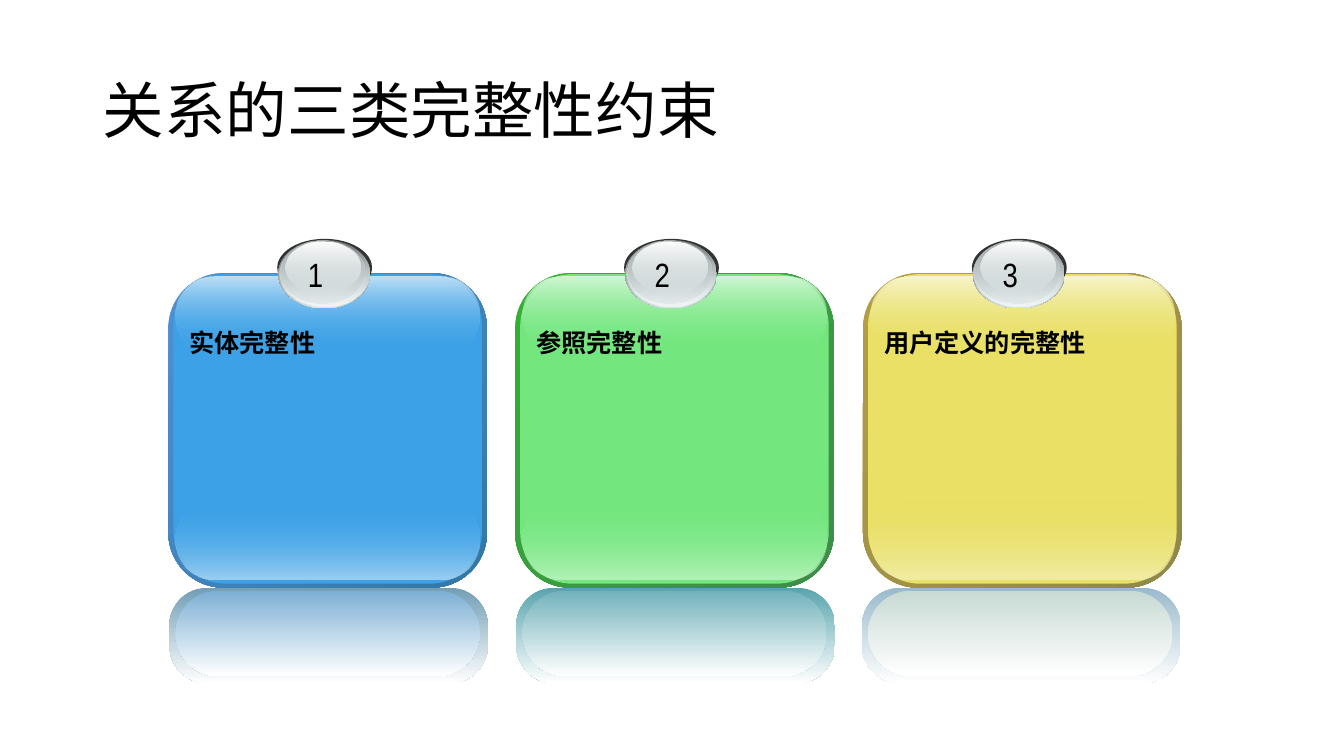
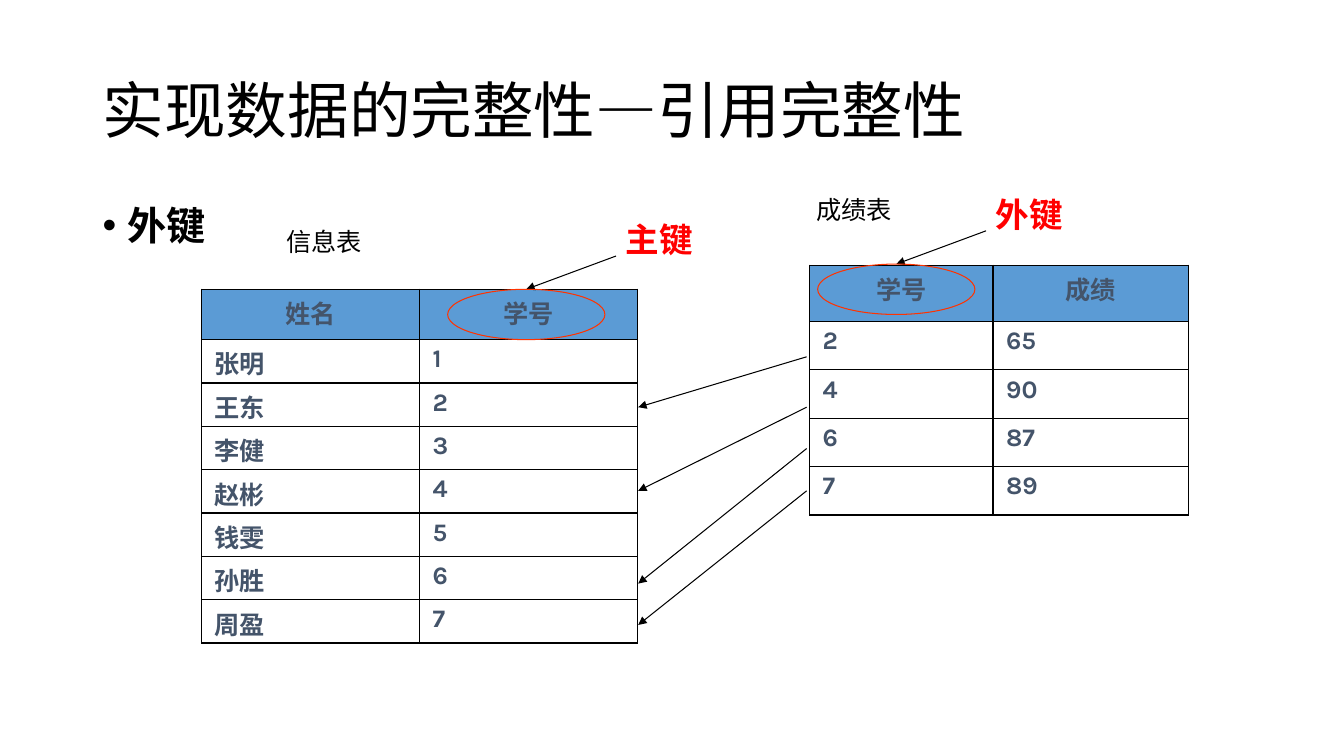
"""Build two slides on the integrity constraints of relational data."""
import pptx
import pptx.dml.color
import pptx.enum.shapes
import pptx.enum.text
import pptx.oxml
import pptx.oxml.ns
import pptx.util
from lxml import etree

PX = 9144
COLOURS = {
    "text": "000000", "key": "FF0000", "ring": "FF3300", "cell": "44546A",
    "header": "5B9BD5", "white": "FFFFFF", "rim": "333333", "steel": "636869",
    "silver": "D6E1E2", "pearl": "F1F5F5", "grey": "AAB2B3",
}
CJK_FONT = "Noto Sans CJK SC"
LABEL_FONT = "Arial Narrow"
ROUNDED = pptx.enum.shapes.MSO_SHAPE.ROUNDED_RECTANGLE
OVAL = pptx.enum.shapes.MSO_SHAPE.OVAL
CENTER = pptx.enum.text.PP_ALIGN.CENTER
CARDS = [
    ("实体完整性", {"edge": ("4E91D4", "3477A4"), "face": "3CA1E6", "bottom": "9BCFF2",
                "top": "BEE0F7", "outer": "729EB4", "inner": "7DAFD4", "shift": 1}),
    ("参照完整性", {"edge": ("34B034", "3F8B4A"), "face": "73E77E", "bottom": "B3F2B9",
                "top": "D0F7D4", "outer": "58A4AE", "inner": "72B2BB", "shift": 1}),
    ("用户定义的完整性", {"edge": ("B59F43", "8F8849"), "face": "E9E065", "bottom": "F2EDA6",
                   "top": "F8F5CC", "outer": "99BACC", "inner": "C8DAD4", "shift": -1}),
]
STUDENTS = [("姓名", "学号"), ("张明", "1"), ("王东", "2"), ("李健", "3"),
            ("赵彬", "4"), ("钱雯", "5"), ("孙胜", "6"), ("周盈", "7")]
SCORES = [("学号", "成绩"), ("2", "65"), ("4", "90"), ("6", "87"), ("7", "89")]
REFERENCES = [(354, 404), (404, 487), (445, 579), (487, 620)]


def px(*lengths):
    """Turn px lengths into EMU."""
    return [pptx.util.Emu(length * PX) for length in lengths]


def rgb(colour):
    """Turn a hex string into a colour."""
    return pptx.dml.color.RGBColor.from_string(colour)


def add_element(parent, tag, **attributes):
    """Append a drawing element with the given attributes."""
    element = etree.SubElement(parent, pptx.oxml.ns.qn(tag))
    for name, value in attributes.items():
        element.set(name, str(value))
    return element


def format_paragraph(paragraph, size, font, colour, bold=False):
    """Format every run of a paragraph."""
    for run in paragraph.runs:
        run.font.size = pptx.util.Pt(size)
        run.font.bold = bold
        run.font.name = font
        run.font.color.rgb = rgb(colour)
        add_element(run.font._element, "a:ea", typeface=CJK_FONT)


def add_text(shapes, box, text, size, font=LABEL_FONT, colour=COLOURS["text"], bold=False,
             wrap=True):
    """Add a text box and return its text frame."""
    text_frame = shapes.add_textbox(*px(*box)).text_frame
    text_frame.word_wrap = wrap
    text_frame.text = text
    format_paragraph(text_frame.paragraphs[0], size, font, colour, bold)
    return text_frame


def add_title(slide, text, font):
    """Add the slide title."""
    text_frame = add_text(slide.shapes, (92, 40, 1150, 145), text, 44, font)
    text_frame.vertical_anchor = pptx.enum.text.MSO_ANCHOR.MIDDLE
    text_frame.paragraphs[0].line_spacing = 0.9


def fill_gradient(shape, start, end, angle=90):
    """Fill a shape with a two-stop gradient of (colour, opacity) pairs."""
    shape.fill.background()
    properties = shape._element.spPr
    empty_fill = properties.find(pptx.oxml.ns.qn("a:noFill"))
    gradient = add_element(properties, "a:gradFill", rotWithShape=1)
    properties.replace(empty_fill, gradient)
    stops = add_element(gradient, "a:gsLst")
    for position, (colour, opacity) in ((0, start), (100, end)):
        stop = add_element(stops, "a:gs", pos=position * 1000)
        value = add_element(stop, "a:srgbClr", val=colour)
        if opacity < 100:
            add_element(value, "a:alpha", val=opacity * 1000)
    add_element(gradient, "a:lin", ang=angle * 60000, scaled=0)


def add_layer(shapes, kind, box, start, end=None, corner=None, angle=90):
    """Add one borderless solid or gradient layer."""
    shape = shapes.add_shape(kind, *px(*box))
    shape.shadow.inherit = False
    if corner is not None:
        shape.adjustments[0] = corner
    if end is None:
        shape.fill.solid()
        shape.fill.fore_color.rgb = rgb(start[0])
    else:
        fill_gradient(shape, start, end, angle)
    shape.line.fill.background()


def add_badge(shapes, left, top, number):
    """Add the glass badge with its number."""
    silver = COLOURS["silver"]
    layers = [
        ((0, 0, 94, 57), (COLOURS["rim"], 100), None),
        ((1, 1, 91, 68), (COLOURS["steel"], 100), (silver, 100)),
        ((2, 1, 89, 66), (silver, 0), (COLOURS["pearl"], 100)),
        ((3, 2, 84, 62), (COLOURS["grey"], 100), (silver, 48)),
        ((8, 3, 75, 50), (COLOURS["white"], 100), (silver, 38)),
    ]
    for (x, y, width, height), start, end in layers:
        add_layer(shapes, OVAL, (left + x, top + y, width, height), start, end)
    text_frame = add_text(shapes, (left + 20, top + 10, 36, 51), number, 24, wrap=False)
    text_frame.paragraphs[0].alignment = CENTER


def add_card(slide, left, top, number, text, tint):
    """Add one glossy card with reflection, badge and label."""
    shapes = slide.shapes.add_group_shape().shapes
    face, clear = (tint["face"], 100), (tint["face"], 0)
    white = (COLOURS["white"], 100)
    edge_start, edge_end = tint["edge"]
    shift = tint["shift"]
    layers = [
        ((0, 0, 316, 312), (edge_start, 100), (edge_end, 100), 0.175, 45),
        ((5, 1, 306, 307), face, None, 0.167, 90),
        ((7, 226, 302, 78), clear, (tint["bottom"], 100), 0.5, 90),
        ((7, 3, 302, 77), (tint["top"], 100), clear, 0.5, 90),
        ((shift, 312, 316, 95), (tint["outer"], 100), white, 0.4, 90),
        ((shift + 6, 315, 302, 85), (tint["inner"], 100), white, 0.5, 90),
    ]
    for (x, y, width, height), start, end, corner, angle in layers:
        add_layer(shapes, ROUNDED, (left + x, top + y, width, height), start, end, corner, angle)
    add_badge(shapes, left + 108, top - 34, number)
    add_text(shapes, (left + 11, top + 49, 300, 40), text, 18, bold=True)


def add_arrow(slide, start, end):
    """Add a thin arrow between two points."""
    arrow = slide.shapes.add_connector(
        pptx.enum.shapes.MSO_CONNECTOR.STRAIGHT, *px(*start, *end))
    arrow.line.color.rgb = rgb(COLOURS["text"])
    arrow.line.width = pptx.util.Pt(0.75)
    add_element(arrow.line._get_or_add_ln(), "a:tailEnd", type="triangle")
    add_element(arrow._element.spPr, "a:effectLst")


def add_key_callout(slide, left, top, text):
    """Ring a header cell and name its key."""
    add_arrow(slide, (left + 167, top - 33), (left + 78, top))
    ring = slide.shapes.add_shape(OVAL, *px(left, top, 156, 50))
    ring.shadow.inherit = False
    ring.fill.background()
    ring.line.color.rgb = rgb(COLOURS["ring"])
    ring.line.width = pptx.util.Pt(0.75)
    text_frame = add_text(slide.shapes, (left + 167, top - 67, 122, 42), text, 24,
                          colour=COLOURS["key"], bold=True)
    text_frame.paragraphs[0].line_spacing = 0.8


def border_cell(cell):
    """Draw a thin line on all four sides of a cell."""
    properties = cell._tc.get_or_add_tcPr()
    for index, side in enumerate(("a:lnL", "a:lnR", "a:lnT", "a:lnB")):
        line = add_element(properties, side, w=pptx.util.Pt(1))
        fill = add_element(line, "a:solidFill")
        add_element(fill, "a:srgbClr", val=COLOURS["text"])
        properties.insert(index, line)


def add_grid(slide, left, top, rows, widths, header_height, row_height):
    """Add a bordered table with a coloured header row."""
    height = header_height + row_height * (len(rows) - 1)
    table = slide.shapes.add_table(
        len(rows), len(widths), *px(left, top, sum(widths), height)).table
    table.first_row = table.horz_banding = False
    for column, width in zip(table.columns, px(*widths)):
        column.width = width
    for row_index, values in enumerate(rows):
        is_header = row_index == 0
        table.rows[row_index].height = px(header_height if is_header else row_height)[0]
        for column_index, value in enumerate(values):
            cell = table.cell(row_index, column_index)
            cell.margin_left, cell.margin_right = px(13, 13)
            cell.margin_top, cell.margin_bottom = px(5, 5)
            cell.text_frame.text = value
            paragraph = cell.text_frame.paragraphs[0]
            format_paragraph(paragraph, 18, "Karla", COLOURS["cell"], True)
            if is_header:
                paragraph.alignment = CENTER
                cell.fill.solid()
                cell.fill.fore_color.rgb = rgb(COLOURS["header"])
            else:
                cell.fill.background()
            border_cell(cell)


def add_bullet(slide, box, text):
    """Add the bulleted body line."""
    paragraph = add_text(slide.shapes, box, text, 28, bold=True).paragraphs[0]
    paragraph.line_spacing = 0.9
    properties = paragraph._p.get_or_add_pPr()
    properties.set("marL", str(25 * PX))
    properties.set("indent", str(-25 * PX))
    add_element(properties, "a:buFont", typeface="Arial")
    add_element(properties, "a:buChar", char="•")


def build_constraints(slide):
    """Build the slide of three constraint cards."""
    add_title(slide, "关系的三类完整性约束", CJK_FONT)
    for index, (text, tint) in enumerate(CARDS):
        add_card(slide, 167 + index * 689 // 2, 271, str(index + 1), text, tint)


def build_references(slide):
    """Build the slide on foreign keys between two tables."""
    add_title(slide, "实现数据的完整性—引用完整性", "Arial")
    add_bullet(slide, (92, 200, 180, 60), "外键")
    add_grid(slide, 200, 287, STUDENTS, (216, 216), 50, 43)
    add_grid(slide, 803, 263, SCORES, (182, 194), 56, 48)
    add_key_callout(slide, 811, 262, "外键")
    add_key_callout(slide, 444, 287, "主键")
    for start, end in REFERENCES:
        add_arrow(slide, (800, start), (633, end))
    add_text(slide.shapes, (274, 220, 204, 40), "信息表", 18)
    add_text(slide.shapes, (800, 188, 204, 40), "成绩表", 18)


def main():
    """Build and save the presentation."""
    presentation = pptx.Presentation()
    presentation.slide_width, presentation.slide_height = px(1333, 750)
    for build in (build_constraints, build_references):
        build(presentation.slides.add_slide(presentation.slide_layouts[6]))
    presentation.save("out.pptx")


if __name__ == "__main__":
    main()
